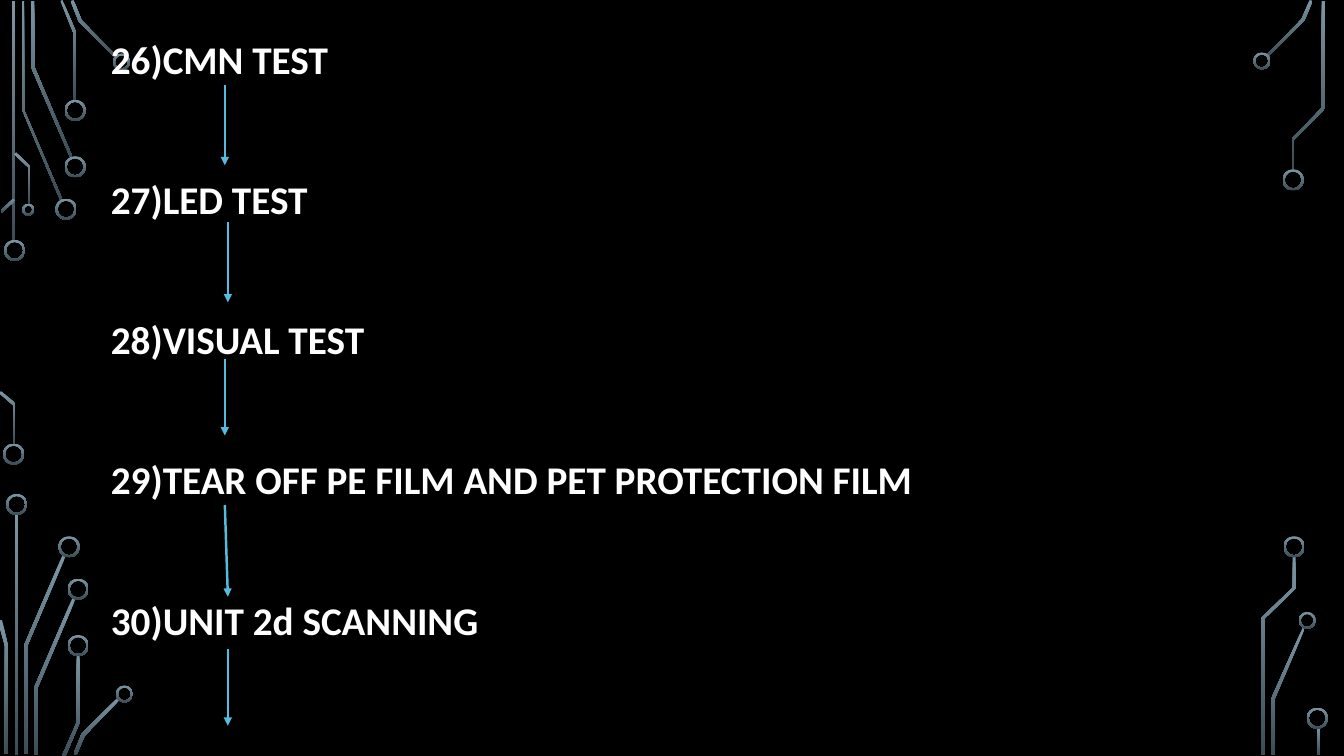
from lxml import etree
from pptx import Presentation
from pptx.dml.color import RGBColor
from pptx.enum.shapes import MSO_CONNECTOR, MSO_SHAPE
from pptx.enum.text import MSO_ANCHOR, MSO_AUTO_SIZE
from pptx.oxml.ns import qn
from pptx.util import Inches, Pt

STRAIGHT = MSO_CONNECTOR.STRAIGHT
DONUT, RECTANGLE = MSO_SHAPE.DONUT, MSO_SHAPE.RECTANGLE
BLACK = RGBColor(0x00, 0x00, 0x00)
WHITE = RGBColor(0xFF, 0xFF, 0xFF)
ARROW_BLUE = RGBColor(0x54, 0xBC, 0xDF)
TRACE_LIGHT = RGBColor(0x7C, 0x96, 0xA3)
TRACE_DARK = RGBColor(0x3B, 0x4C, 0x54)
RING_WALL = 0.02

# Upright circuit traces: left, top, width, height
BARS = [(0.12, 0.01, 0.03, 2.39), (0.15, 5.1, 0.03, 2.39), (13.06, 7.21, 0.03, 0.28)]

# Bent circuit traces: corner points of each outline
TRACES = [
    # top left
    [(0.6, 1.99), (0.22, 1.09), (0.22, 0.01), (0.24, 0.01), (0.24, 1.09), (0.62, 1.98)],
    [(0.7, 1.57), (0.31, 0.67), (0.31, 0.01), (0.34, 0.01), (0.34, 0.66), (0.72, 1.56)],
    [(0.76, 1), (0.73, 1), (0.73, 0.33), (0.6, 0.01), (0.62, 0), (0.76, 0.33)],
    [(1.15, 0.58), (0.78, 0.21), (0.7, 0.01), (0.73, 0), (0.81, 0.2), (1.16, 0.56)],
    [(0.02, 2.11), (0.01, 2.09), (0.13, 1.97), (0.15, 1.99)],
    [(0.15, 4.41), (0.13, 4.41), (0.13, 4.02), (-0.01, 3.9), (0.01, 3.88), (0.15, 4)],
    [(0.3, 2.03), (0.28, 2.03), (0.28, 1.66), (0.14, 1.53), (0.16, 1.51), (0.3, 1.65)],
    # bottom left
    [(0.27, 7.48), (0.24, 7.48), (0.24, 6.4), (0.62, 5.51), (0.65, 5.52), (0.27, 6.41)],
    [(0.08, 7.48), (0.05, 7.48), (0.05, 6.41), (-0.02, 6.16), (0.02, 6.15), (0.08, 6.41)],
    [(0.37, 7.49), (0.34, 7.49), (0.34, 6.82), (0.72, 5.93), (0.75, 5.94), (0.37, 6.83)],
    [(0.65, 7.5), (0.62, 7.49), (0.76, 7.17), (0.76, 6.5), (0.79, 6.5), (0.79, 7.17)],
    [(0.76, 7.49), (0.73, 7.48), (0.81, 7.28), (1.17, 6.92), (1.19, 6.94), (0.84, 7.3)],
    # top right
    [(12.58, 0.56), (12.56, 0.55), (12.91, 0.19), (12.99, 0), (13.02, 0.01), (12.94, 0.2)],
    [(12.83, 1.69), (12.81, 1.69), (12.81, 1.38), (13.11, 1.07), (13.11, 0.01),
     (13.14, 0.01), (13.14, 1.08), (12.83, 1.39)],
    # bottom right
    [(12.64, 7.49), (12.61, 7.49), (12.61, 6.93), (12.92, 6.23), (12.94, 6.24), (12.64, 6.94)],
    [(12.54, 7.49), (12.51, 7.49), (12.51, 6.13), (12.82, 5.83), (12.82, 5.52),
     (12.85, 5.52), (12.85, 5.84), (12.54, 6.14)],
]

# Ring ends of the traces, by diameter: left, top
RINGS = {
    0.21: [(0.04, 2.38), (0.03, 4.4), (0.55, 1.97), (0.64, 1.55), (0.64, 0.99),
           (0.06, 4.9), (0.58, 5.32), (0.67, 5.74), (0.67, 6.3),
           (12.72, 1.68), (12.73, 5.32), (12.96, 7.02)],
    0.17: [(1.12, 0.53), (1.15, 6.8), (12.43, 0.52), (12.88, 6.07)],
    0.12: [(0.22, 2.02)],
}

STEPS = [
    "26)CMN TEST",
    "27)LED TEST",
    "28)VISUAL TEST",
    "29)TEAR OFF PE FILM AND PET PROTECTION FILM",
    "30)UNIT 2d SCANNING",
]

# Arrows between steps: start x, start y, end x, end y
ARROWS = [
    (2.23, 0.84, 2.23, 1.64),
    (2.26, 2.2, 2.26, 3),
    (2.23, 3.56, 2.23, 4.32),
    (2.23, 5.01, 2.26, 5.92),
    (2.26, 6.44, 2.26, 7.2),
]


def paint_trace(shape):
    """Fade a circuit part from light at its top to dark at its bottom."""
    shape.shadow.inherit = False
    shape.line.fill.background()
    shape.fill.gradient()
    shape.fill.gradient_angle = 270
    for stop, color in zip(shape.fill.gradient_stops, (TRACE_LIGHT, TRACE_DARK)):
        stop.color.rgb = color


prs = Presentation()
prs.slide_width, prs.slide_height = Inches(13.33), Inches(7.5)
slide = prs.slides.add_slide(prs.slide_layouts[1])
slide.background.fill.solid()
slide.background.fill.fore_color.rgb = BLACK
shapes = slide.shapes
title = shapes.title.element
title.getparent().remove(title)
body = slide.placeholders[1]

# Circuit decoration
for box in BARS:
    paint_trace(shapes.add_shape(RECTANGLE, *map(Inches, box)))
for outline in TRACES:
    corners = [(Inches(x), Inches(y)) for x, y in outline]
    builder = shapes.build_freeform(*corners[0])
    builder.add_line_segments(corners[1:], close=True)
    paint_trace(builder.convert_to_shape())
for diameter, places in RINGS.items():
    for left, top in places:
        ring = shapes.add_shape(DONUT, Inches(left), Inches(top), Inches(diameter), Inches(diameter))
        ring.adjustments[0] = RING_WALL / diameter
        paint_trace(ring)

# Process steps, in front of the decoration
shapes.element.append(body.element)
body.left, body.top = Inches(1), Inches(0.21)
body.width, body.height = Inches(11.33), Inches(7.11)
frame = body.text_frame
frame.word_wrap = True
frame.auto_size = MSO_AUTO_SIZE.NONE
frame.vertical_anchor = MSO_ANCHOR.TOP
for index, step in enumerate(STEPS):
    paragraph = frame.add_paragraph() if index else frame.paragraphs[0]
    paragraph.line_spacing = 1.2
    paragraph.space_before = Pt(59.7 if index else 10)
    properties = paragraph._p.get_or_add_pPr()
    properties.set("marL", "0")
    properties.set("indent", "0")
    etree.SubElement(properties, qn("a:buNone"))
    run = paragraph.add_run()
    run.text = step
    run.font.name = "Calibri"
    run.font.size = Pt(28)
    run.font.bold = True
    run.font.color.rgb = WHITE

# Flow arrows
for ends in ARROWS:
    arrow = shapes.add_connector(STRAIGHT, *map(Inches, ends))
    arrow.line.color.rgb = ARROW_BLUE
    arrow.line.width = Pt(1.75)
    etree.SubElement(arrow.line._get_or_add_ln(), qn("a:tailEnd"), type="triangle")
    etree.SubElement(arrow._element.spPr, qn("a:effectLst"))

prs.save("out.pptx")
